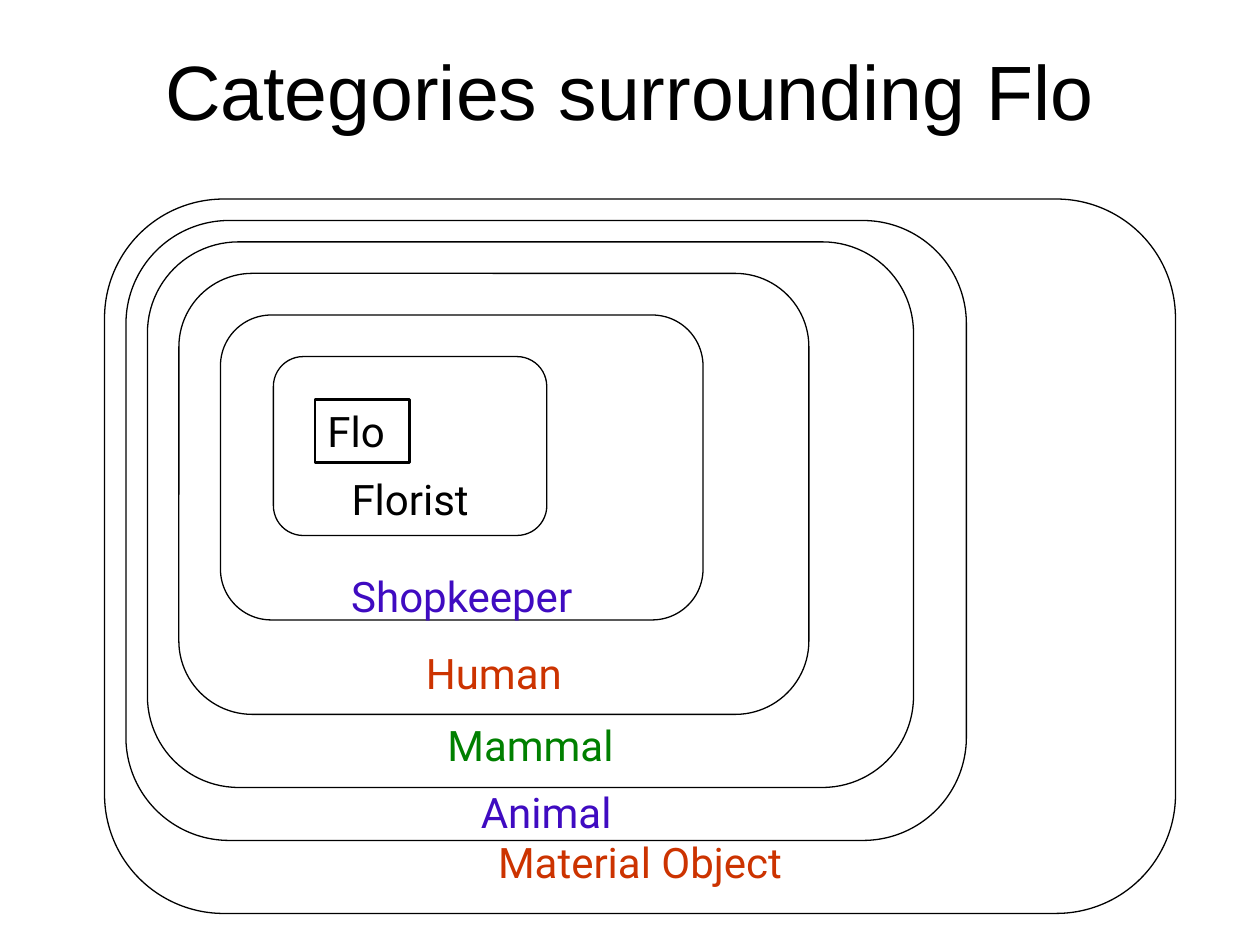
from pptx import Presentation
from pptx.dml.color import RGBColor
from pptx.enum.shapes import MSO_SHAPE
from pptx.enum.text import MSO_ANCHOR, PP_ALIGN
from pptx.util import Inches, Pt

ROUNDED = MSO_SHAPE.FLOWCHART_ALTERNATE_PROCESS
RECTANGLE = MSO_SHAPE.RECTANGLE
TOP, MIDDLE = MSO_ANCHOR.TOP, MSO_ANCHOR.MIDDLE
LEFT, CENTER = PP_ALIGN.LEFT, PP_ALIGN.CENTER

COLORS = {"black": "000000", "violet": "3F0BC1", "red": "CC3300", "green": "008000"}
LABEL_HEIGHT = 0.39

# Innermost first: name, colour, box (left, top, width, height), label top within the box
CATEGORIES = [
    ("Florist", "black", (2.17, 2.83, 2.17, 1.42), 0.93),
    ("Shopkeeper", "violet", (1.75, 2.5, 3.83, 2.42), 2.03),
    ("Human", "red", (1.42, 2.17, 5, 3.5), 2.97),
    ("Mammal", "green", (1.17, 1.92, 6.08, 4.33), 3.79),
    ("Animal", "violet", (1, 1.75, 6.67, 4.92), 4.49),
    ("Material Object", "red", (0.83, 1.58, 8.5, 5.67), 5.06),
]


def rgb(color):
    return RGBColor.from_string(COLORS[color])


def write(shape, text, size, font, color, align, anchor):
    frame = shape.text_frame
    frame.word_wrap = True
    frame.vertical_anchor = anchor
    paragraph = frame.paragraphs[0]
    paragraph.alignment = align
    run = paragraph.add_run()
    run.text = text
    run.font.size = Pt(size)
    run.font.name = font
    run.font.color.rgb = rgb(color)


def add_outline(slide, preset, box, line_width):
    outline = slide.shapes.add_shape(preset, *map(Inches, box))
    outline.shadow.inherit = False
    outline.fill.background()
    outline.line.color.rgb = rgb("black")
    outline.line.width = Pt(line_width)
    return outline


def add_title(slide, box):
    title = slide.shapes.add_textbox(*map(Inches, box))
    write(title, "Categories surrounding Flo", 44, "Arial", "black", CENTER, MIDDLE)


def add_individual(slide, box):
    """Draw Flo, the single member at the heart of the categories."""
    individual = add_outline(slide, RECTANGLE, box, 1.5)
    write(individual, "Flo", 24, "Roboto", "black", LEFT, TOP)


def add_category(slide, name, color, box, label_top):
    add_outline(slide, ROUNDED, box, 0.75)
    left, top, width, _ = box
    label = slide.shapes.add_textbox(
        Inches(left), Inches(top + label_top), Inches(width), Inches(LABEL_HEIGHT))
    label.text_frame.margin_top = label.text_frame.margin_bottom = 0
    write(label, name, 24, "Roboto", color, CENTER, TOP)


def main():
    presentation = Presentation()
    presentation.slide_width = Inches(10)
    presentation.slide_height = Inches(7.5)
    slide = presentation.slides.add_slide(presentation.slide_layouts[6])
    add_title(slide, (0.5, 0.3, 9, 0.83))
    add_individual(slide, (2.5, 3.17, 0.75, 0.5))
    for category in CATEGORIES:
        add_category(slide, *category)
    presentation.save("out.pptx")


if __name__ == "__main__":
    main()
